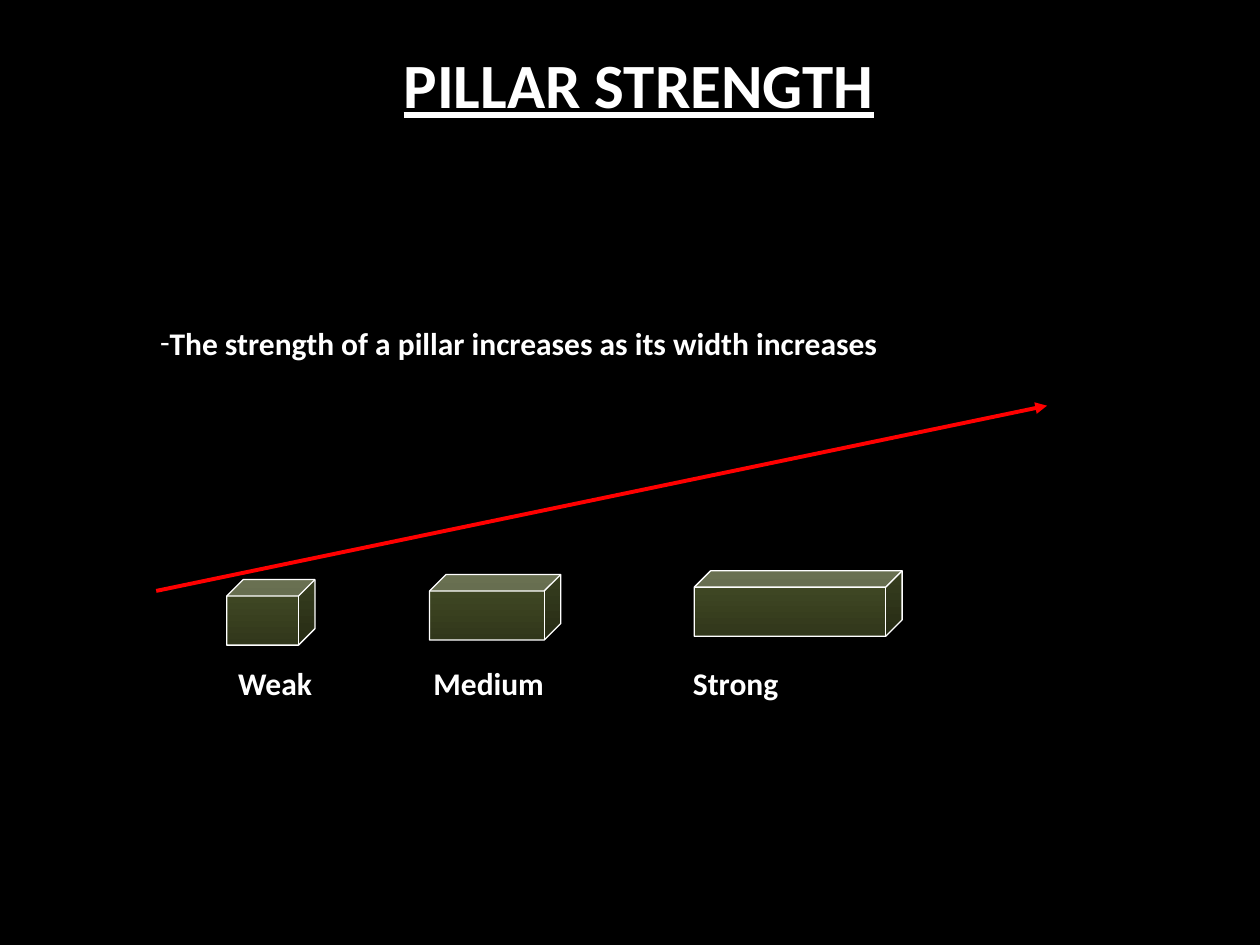
from lxml.etree import SubElement
from pptx import Presentation
from pptx.dml.color import RGBColor
from pptx.enum.shapes import MSO_CONNECTOR, MSO_SHAPE
from pptx.enum.text import MSO_ANCHOR, PP_ALIGN
from pptx.oxml.ns import qn
from pptx.util import Inches, Pt

# Content
TITLE = "PILLAR STRENGTH"
STATEMENT = "The strength of a pillar increases as its width increases"
# label, label left, pillar left, pillar top, pillar width
PILLARS = [
    ("Weak", 1.89, 1.8, 4.6, 0.7),
    ("Medium", 3.44, 3.41, 4.56, 1.04),
    ("Strong", 5.5, 5.51, 4.53, 1.65),
]
PILLAR_HEIGHT = 0.52
LABEL_TOP = 5.27
LINE_HEIGHT = 0.31
COLORS = {
    "background": "000000",
    "text": "FFFFFF",
    "pillar top": "444D26",
    "pillar base": "31371B",
    "trend": "FF0000",
}


def color(name):
    return RGBColor.from_string(COLORS[name])


def place(shape, left, top, width, height):
    shape.left, shape.top = Inches(left), Inches(top)
    shape.width, shape.height = Inches(width), Inches(height)


def write(box, text, size=18):
    frame = box.text_frame
    frame.text = text
    frame.word_wrap = True
    frame.vertical_anchor = MSO_ANCHOR.TOP
    frame.margin_left = frame.margin_right = 0
    frame.margin_top = frame.margin_bottom = 0
    paragraph = frame.paragraphs[0]
    paragraph.space_before = Pt(0)
    font = paragraph.runs[0].font
    font.name, font.size, font.bold = "Calibri", Pt(size), True
    font.color.rgb = color("text")
    return paragraph


deck = Presentation()
deck.slide_width, deck.slide_height = Inches(10), Inches(7.5)
page = deck.slides.add_slide(deck.slide_layouts[1])
page.background.fill.solid()
page.background.fill.fore_color.rgb = color("background")

# Title
title = page.shapes.title
place(title, 2.89, 0.36, 4.36, 0.61)
heading = write(title, TITLE, 36)
heading.alignment = PP_ALIGN.CENTER
heading.runs[0].font.underline = True

# Statement with a dash bullet
body = page.placeholders[1]
place(body, 1.27, 2.57, 7.45, LINE_HEIGHT)
properties = write(body, STATEMENT)._p.get_or_add_pPr()
properties.set("marL", "0")
properties.set("indent", "0")
SubElement(properties, qn("a:buFont")).set("typeface", "Calibri")
SubElement(properties, qn("a:buChar")).set("char", "-")

# Pillars and their labels
for label, label_left, left, top, width in PILLARS:
    pillar = page.shapes.add_shape(
        MSO_SHAPE.CUBE, Inches(left), Inches(top), Inches(width), Inches(PILLAR_HEIGHT))
    pillar.shadow.inherit = False
    pillar.adjustments[0] = 0.25
    pillar.fill.gradient()
    pillar.fill.gradient_angle = 270
    for stop, name, position in zip(
            pillar.fill.gradient_stops, ("pillar top", "pillar base"), (0, 1)):
        stop.color.rgb = color(name)
        stop.position = position
    pillar.line.color.rgb = color("text")
    pillar.line.width = Pt(0.75)
    box = page.shapes.add_textbox(
        Inches(label_left), Inches(LABEL_TOP), Inches(1.2), Inches(LINE_HEIGHT))
    write(box, label)

# Rising strength arrow
arrow = page.shapes.add_connector(
    MSO_CONNECTOR.STRAIGHT, Inches(1.24), Inches(4.69), Inches(8.31), Inches(3.22))
arrow.line.color.rgb = color("trend")
arrow.line.width = Pt(2.25)
SubElement(arrow.line._get_or_add_ln(), qn("a:tailEnd")).set("type", "triangle")
SubElement(arrow._element.spPr, qn("a:effectLst"))

deck.save("out.pptx")
